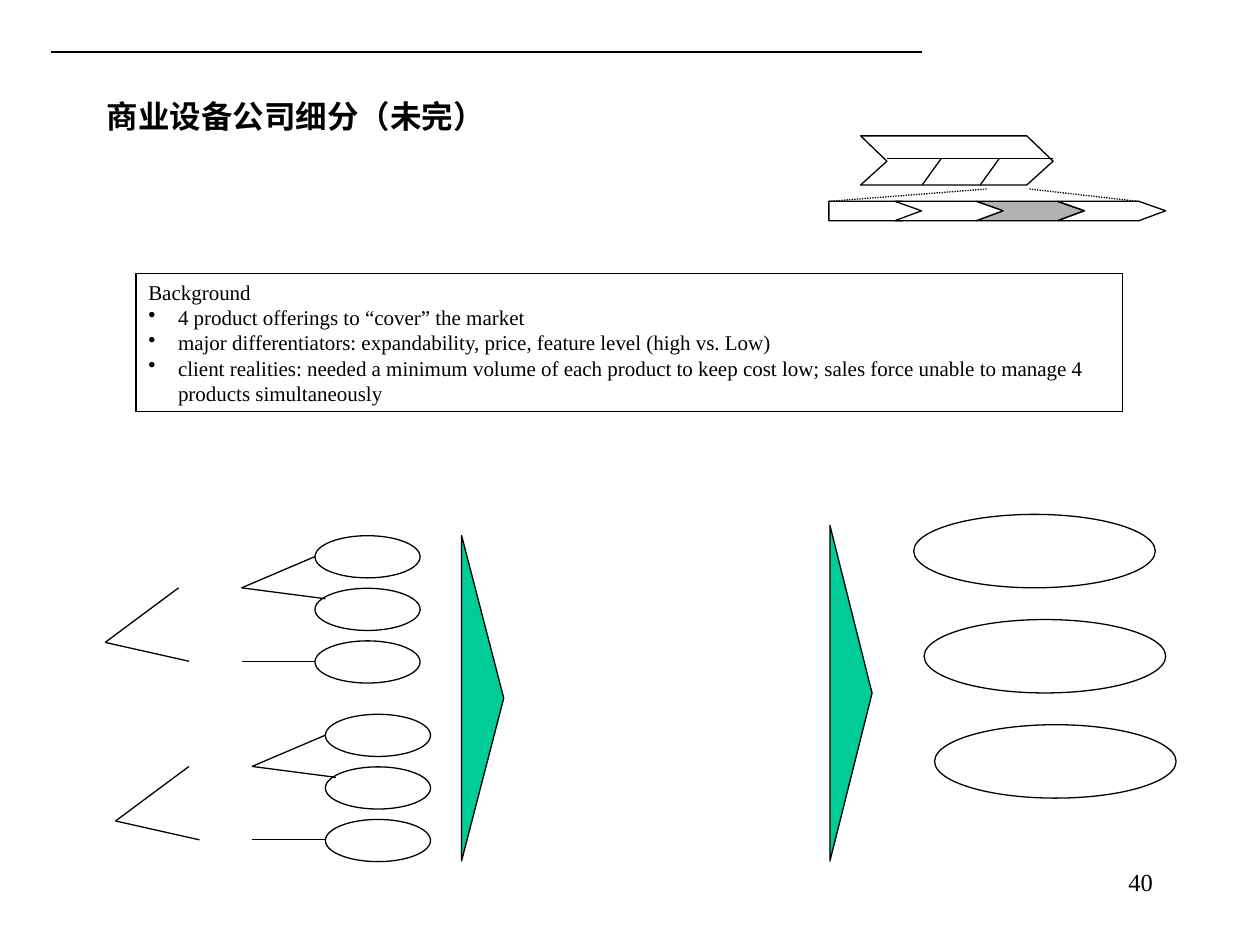
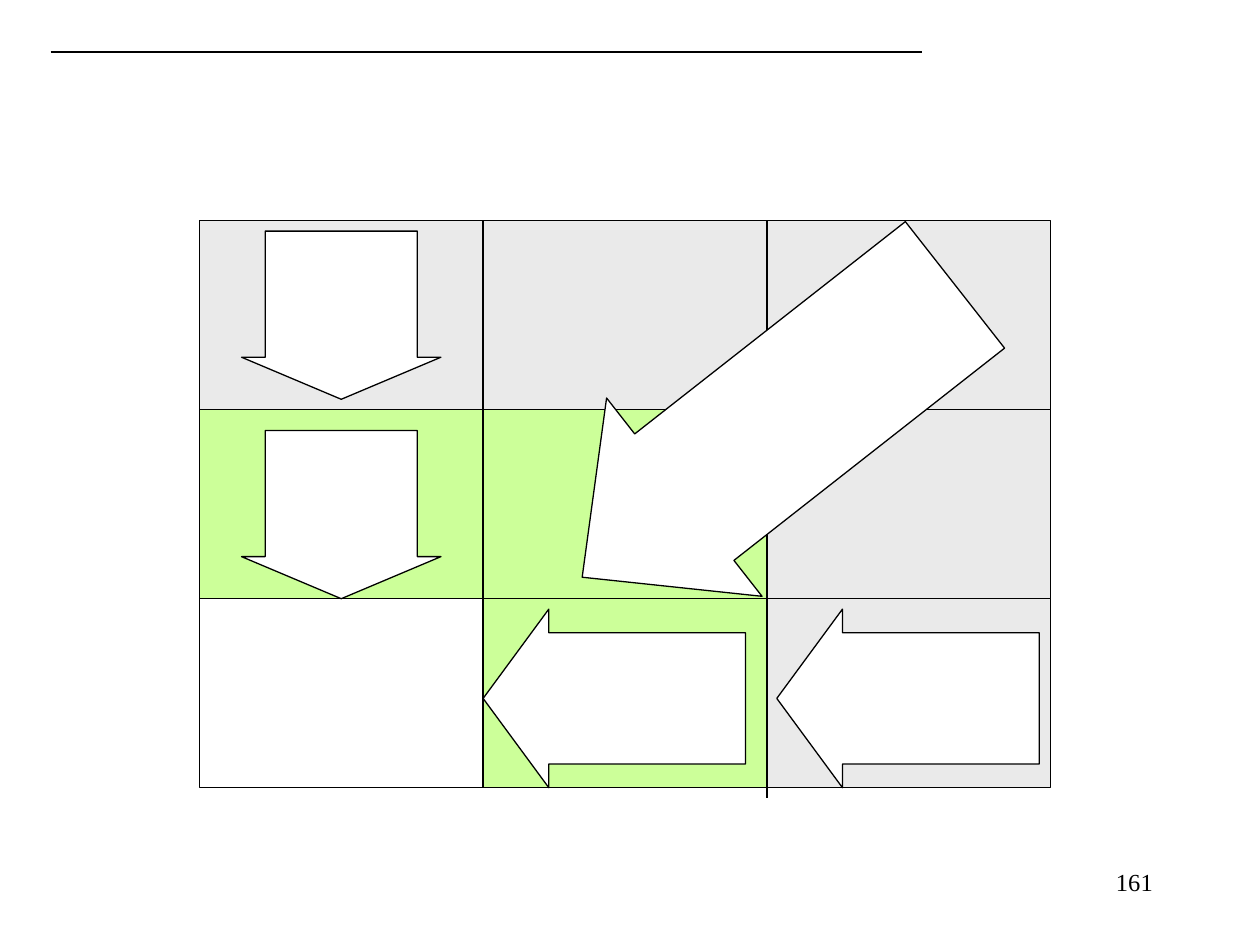
from lxml import etree
from pptx import Presentation
from pptx.dml.color import RGBColor
from pptx.enum.dml import MSO_LINE_DASH_STYLE as DASH
from pptx.enum.shapes import MSO_CONNECTOR as CONNECTOR, MSO_SHAPE as SHAPE
from pptx.enum.text import MSO_ANCHOR as ANCHOR, PP_ALIGN as ALIGN
from pptx.oxml.ns import qn
from pptx.shapes.connector import Connector
from pptx.util import Cm, Pt

FONT = "Times New Roman"
BLACK, WHITE, TEAL = "000000", "FFFFFF", "00CC99"
SILVER, MIST, LIME = "B2B2B2", "EAEAEA", "CCFF99"
rgb = RGBColor.from_string


def paint(item, fill=None, width=0.75, dash=None):
    """Give a shape or connector a black line, no shadow and an optional fill."""
    item.line.color.rgb = rgb(BLACK)
    item.line.width = Pt(width)
    if dash:
        item.line.dash_style = dash
    if isinstance(item, Connector):
        etree.SubElement(item._element.spPr, qn("a:effectLst"))
        return
    item.shadow.inherit = False
    if fill:
        item.fill.solid()
        item.fill.fore_color.rgb = rgb(fill)
    else:
        item.fill.background()


def write(box, text, size=12, bold=False, align=ALIGN.LEFT, anchor=ANCHOR.TOP, bullets_from=None):
    """Fill a box with one paragraph per line, bulleted from the given line on."""
    frame = box.text_frame
    frame.word_wrap = True
    frame.vertical_anchor = anchor
    for index, line in enumerate(text.split("\n")):
        para = frame.paragraphs[0] if index == 0 else frame.add_paragraph()
        para.alignment = align
        if bullets_from is not None and index >= bullets_from:
            properties = para._p.get_or_add_pPr()
            properties.set("marL", str(Cm(0.6)))
            properties.set("indent", str(-Cm(0.6)))
            etree.SubElement(properties, qn("a:buChar"), char="•")
        span = para.add_run()
        span.text = line
        span.font.name = FONT
        span.font.size = Pt(size)
        span.font.bold = bold
        span.font.color.rgb = rgb(BLACK)


deck = Presentation()
deck.slide_width, deck.slide_height = Cm(25.4), Cm(19.05)

# Header rule and page number on every page
pages = []
for number in ("40", "161"):
    page = deck.slides.add_slide(deck.slide_layouts[6])
    rule = page.shapes.add_connector(CONNECTOR.STRAIGHT, Cm(1.02), Cm(1.05), Cm(18.59), Cm(1.05))
    paint(rule, width=1.5)
    number_box = page.shapes.add_textbox(Cm(18.21), Cm(17.36), Cm(5.28), Cm(1.27))
    write(number_box, number, size=14, align=ALIGN.RIGHT)
    pages.append(page)
segmentation, matrix = (page.shapes for page in pages)

# Segmentation page: title and background box
title = segmentation.add_textbox(Cm(1.9), Cm(1.06), Cm(21.59), Cm(2.54))
write(title, "商业设备公司细分（未完）", size=18, bold=True, anchor=ANCHOR.MIDDLE)

background = segmentation.add_shape(SHAPE.RECTANGLE, Cm(2.74), Cm(5.51), Cm(19.89), Cm(2.79))
paint(background)
write(background, """Background
4 product offerings to “cover” the market
major differentiators: expandability, price, feature level (high vs. Low)
client realities: needed a minimum volume of each product to keep cost low; \
sales force unable to manage 4 products simultaneously""", bullets_from=1)

# Process tracker: an overview arrow above a row of steps
STEP, NOTCH, TOP, MIDDLE, BOTTOM = 1.64, 0.54, 4.06, 4.25, 4.45
outlines = [
    ([(16.71, TOP), (18.19, TOP), (18.67, MIDDLE), (18.19, BOTTOM), (16.71, BOTTOM)], WHITE),
    ([(17.35, 2.74), (20.7, 2.74), (21.23, 3.25), (20.7, 3.73), (17.35, 3.73), (17.88, 3.25)], None),
]
for position, fill in ((1, SILVER), (0, WHITE), (2, None)):
    left = 18.04 + position * STEP
    right = left + STEP
    outlines.append(([(left, TOP), (right, TOP), (right + NOTCH, MIDDLE), (right, BOTTOM),
                      (left, BOTTOM), (left + NOTCH, MIDDLE)], fill))
for points, fill in outlines:
    corners = [(Cm(x), Cm(y)) for x, y in points]
    builder = segmentation.build_freeform(*corners[0])
    builder.add_line_segments(corners[1:], close=True)
    paint(builder.convert_to_shape(), fill)

lines = [
    (17.88, 3.2, 21.23, 3.2, None),
    (18.97, 3.2, 18.59, 3.73, None),
    (20.14, 3.2, 19.76, 3.73, None),
    (19.89, 3.81, 16.71, 4.06, DASH.ROUND_DOT),
    (20.75, 3.81, 22.94, 4.06, DASH.ROUND_DOT),
]

# Two segment trees, then the three resulting groups
ovals = [(18.42 + 0.21 * row, 10.37 + 2.12 * row, 4.87, 1.48) for row in range(3)]
branches = [
    (6.35, 11.22, 4.87, 11.85),
    (4.87, 11.85, 6.56, 12.07),
    (6.35, 13.33, 4.87, 13.33),
    (3.6, 11.85, 2.12, 12.95),
    (2.12, 12.95, 3.81, 13.33),
]
for shift_x, shift_y in ((0, 0), (0.21, 3.6)):
    ovals += [(6.35 + shift_x, 10.8 + shift_y + 1.06 * row, 2.12, 0.85) for row in range(3)]
    lines += [(x1 + shift_x, y1 + shift_y, x2 + shift_x, y2 + shift_y, None)
              for x1, y1, x2, y2 in branches]
for oval in ovals:
    paint(segmentation.add_shape(SHAPE.OVAL, *map(Cm, oval)), WHITE)
for *ends, dash in lines:
    paint(segmentation.add_connector(CONNECTOR.STRAIGHT, *map(Cm, ends)), dash=dash)

for place in ((13.77, 13.55, 6.77, 0.85), (6.45, 13.65, 6.56, 0.85)):
    pointer = segmentation.add_shape(SHAPE.ISOSCELES_TRIANGLE, *map(Cm, place))
    pointer.rotation = 90
    paint(pointer, TEAL)

# Matrix page: cells coloured by their distance from the lower left corner
CELL_WIDTH, CELL_HEIGHT, GRID_LEFT, GRID_TOP = 5.72, 3.81, 4.02, 4.45
divider_x = GRID_LEFT + 2 * CELL_WIDTH
paint(matrix.add_connector(CONNECTOR.STRAIGHT, Cm(divider_x), Cm(GRID_TOP), Cm(divider_x), Cm(16.09)))
for row in range(3):
    for column in range(3):
        cell = matrix.add_shape(SHAPE.RECTANGLE, Cm(GRID_LEFT + column * CELL_WIDTH),
                                Cm(GRID_TOP + row * CELL_HEIGHT), Cm(CELL_WIDTH), Cm(CELL_HEIGHT))
        paint(cell, (WHITE, LIME, MIST)[max(column, 2 - row)])

arrows = [
    (SHAPE.DOWN_ARROW, (4.87, 4.66, 4.02, 3.39), 0, (0.763, 0.25)),
    (SHAPE.DOWN_ARROW, (4.87, 8.68, 4.02, 3.39), 0, (0.763, 0.25)),
    (SHAPE.LEFT_ARROW, (10.72, 6.15, 9.55, 5.08), 321.9, (0.638, 0.515)),
    (SHAPE.LEFT_ARROW, (15.66, 12.28, 5.29, 3.6), 0, (0.735, 0.368)),
    (SHAPE.LEFT_ARROW, (9.74, 12.28, 5.29, 3.6), 0, (0.735, 0.368)),
]
for kind, place, angle, proportions in arrows:
    arrow = matrix.add_shape(kind, *map(Cm, place))
    arrow.rotation = angle
    arrow.adjustments[0], arrow.adjustments[1] = proportions
    paint(arrow, WHITE)

deck.save("out.pptx")
